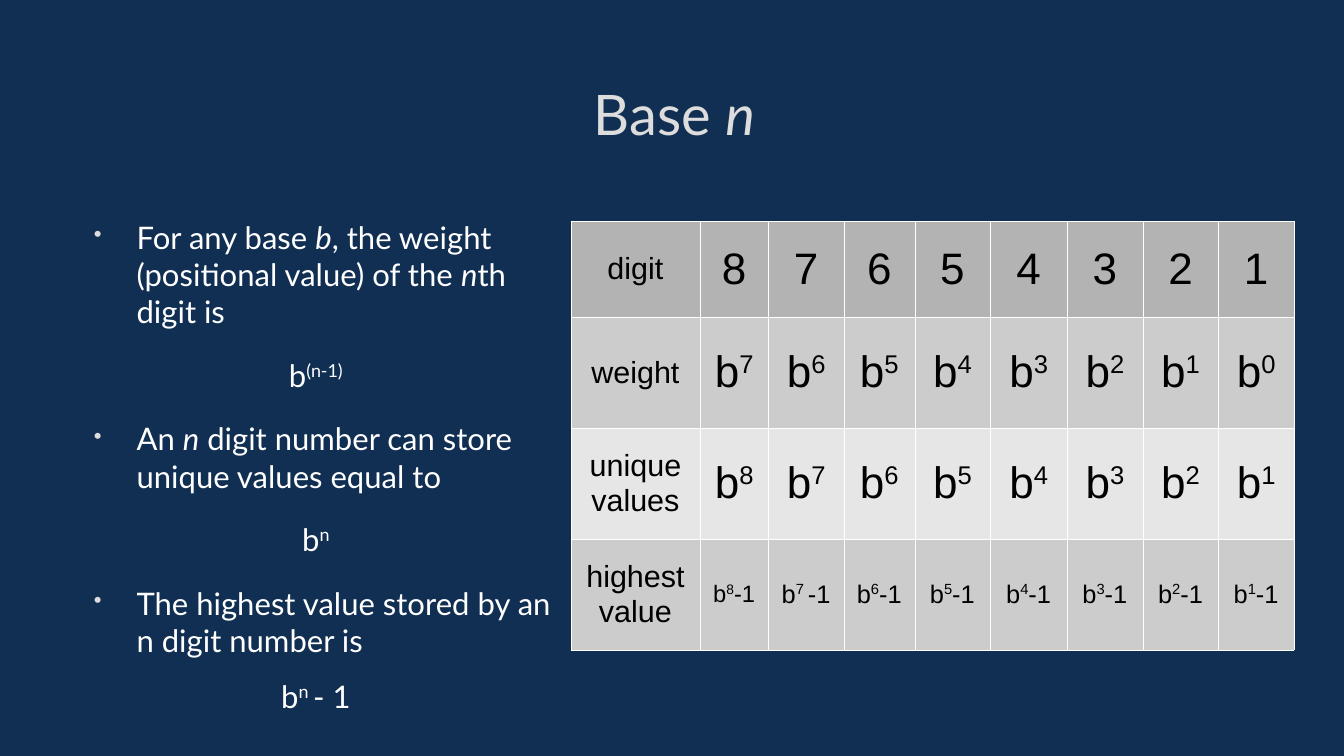
from dataclasses import dataclass
from typing import Iterable, NamedTuple

from lxml.etree import SubElement
from pptx import Presentation
from pptx.dml.color import RGBColor
from pptx.enum.text import MSO_ANCHOR, MSO_AUTO_SIZE, PP_ALIGN
from pptx.oxml import parse_xml
from pptx.oxml.ns import nsdecls, qn
from pptx.util import Emu, Inches, Pt


@dataclass(frozen=True)
class Theme:
    back: str = "112F52"
    pale: str = "DDDDDD"
    white: str = "FFFFFF"
    ink: str = "000000"
    head: str = "B3B3B3"
    band: str = "CCCCCC"
    light: str = "E6E6E6"
    sans: str = "Lato"
    grid: str = "Arial"
    title: float = 33
    body: float = 18.3
    label: float = 18
    digit: float = 26
    small: float = 15
    tight: float = 14
    gap: float = 15.6


class Span(NamedTuple):
    text: str
    slant: bool = False
    power: bool = False


class Font(NamedTuple):
    name: str
    size: float
    color: str


class Point(NamedTuple):
    lead: list[Span]
    rule: list[Span]
    lines: float = 1


class Row(NamedTuple):
    label: str
    fill: str
    size: float
    cells: list[list[Span]]


class Area(NamedTuple):
    left: float
    top: float
    width: float
    height: float


THEME = Theme()
WIDTH, HEIGHT = Inches(11.02), Inches(6.2)
TITLE = Area(5.9, 6.13, 88.57, 17.58)
BODY = Area(5.9, 28.87, 35.21, 57.74)
TABLE = Area(42.47, 29.19, 53.72, 56.77)
COLUMNS = [9.62, 5.08, 5.63, 5.26, 5.63, 5.72, 5.63, 5.63, 5.63]
ROWS = [12.74] + [14.68] * 3
DIGITS = range(8, 0, -1)


def across(share: float) -> Emu:
    return Emu(round(WIDTH * share / 100))


def down(share: float) -> Emu:
    return Emu(round(HEIGHT * share / 100))


def place(area: Area) -> tuple[Emu, Emu, Emu, Emu]:
    return across(area.left), down(area.top), across(area.width), down(area.height)


def clear(frame) -> None:
    frame.word_wrap = True
    frame.auto_size = MSO_AUTO_SIZE.NONE
    frame.margin_left = frame.margin_right = 0
    frame.margin_top = frame.margin_bottom = 0


def write(para, spans: Iterable[Span], font: Font) -> None:
    for span in spans:
        run = para.add_run()
        run.text = span.text
        run.font.name = font.name
        run.font.size = Pt(font.size)
        run.font.color.rgb = RGBColor.from_string(font.color)
        if span.slant:
            run.font.italic = True
        if span.power:
            run._r.get_or_add_rPr().set("baseline", "33000")


def bullet(para) -> None:
    props = para._p.get_or_add_pPr()
    props.set("marL", str(Inches(0.47)))
    props.set("indent", str(Inches(-0.35)))
    color = SubElement(props, qn("a:buClr"))
    SubElement(color, qn("a:srgbClr")).set("val", THEME.pale)
    SubElement(props, qn("a:buSzPct")).set("val", "75000")
    SubElement(props, qn("a:buChar")).set("char", "•")


def border(cell) -> None:
    props = cell._tc.get_or_add_tcPr()
    for index, side in enumerate(("lnL", "lnR", "lnT", "lnB")):
        line = parse_xml(
            f'<a:{side} {nsdecls("a")} w="{Pt(0.06)}"><a:solidFill>'
            f'<a:srgbClr val="{THEME.white}"/></a:solidFill></a:{side}>'
        )
        props.insert(index, line)


def head(slide) -> None:
    title = slide.shapes.title
    title.left, title.top, title.width, title.height = place(TITLE)
    frame = title.text_frame
    clear(frame)
    frame.vertical_anchor = MSO_ANCHOR.MIDDLE
    para = frame.paragraphs[0]
    para.alignment = PP_ALIGN.CENTER
    write(para, [Span("Base "), Span("n", slant=True)],
          Font(THEME.sans, THEME.title, THEME.pale))


def points(slide, items: list[Point]) -> None:
    frame = slide.shapes.add_textbox(*place(BODY)).text_frame
    clear(frame)
    font = Font(THEME.sans, THEME.body, THEME.white)
    for index, item in enumerate(items):
        lead = frame.add_paragraph() if index else frame.paragraphs[0]
        bullet(lead)
        if index:
            lead.space_before = Pt(THEME.gap)
        write(lead, item.lead, font)
        rule = frame.add_paragraph()
        rule.alignment = PP_ALIGN.CENTER
        rule.space_before = Pt(THEME.gap)
        rule.line_spacing = item.lines
        write(rule, item.rule, font)


def fill(cell, spans: list[Span], size: float, color: str) -> None:
    cell.fill.solid()
    cell.fill.fore_color.rgb = RGBColor.from_string(color)
    cell.vertical_anchor = MSO_ANCHOR.MIDDLE
    para = cell.text_frame.paragraphs[0]
    para.alignment = PP_ALIGN.CENTER
    write(para, spans, Font(THEME.grid, size, THEME.ink))
    border(cell)


def table(slide, rows: list[Row]) -> None:
    grid = slide.shapes.add_table(len(ROWS), len(COLUMNS), *place(TABLE)).table
    grid.first_row = grid.horz_banding = False
    for column, share in zip(grid.columns, COLUMNS):
        column.width = across(share)
    for line, share, row in zip(grid.rows, ROWS, rows):
        line.height = down(share)
        label, *rest = line.cells
        fill(label, [Span(row.label)], THEME.label, row.fill)
        for index, (cell, spans) in enumerate(zip(rest, row.cells)):
            slim = row.size == THEME.small and index == 0
            fill(cell, spans, THEME.tight if slim else row.size, row.fill)


def power(text: str) -> list[Span]:
    return [Span("b"), Span(text, power=True)]


def main() -> None:
    deck = Presentation()
    deck.slide_width, deck.slide_height = WIDTH, HEIGHT
    slide = deck.slides.add_slide(deck.slide_layouts[5])
    slide.background.fill.solid()
    slide.background.fill.fore_color.rgb = RGBColor.from_string(THEME.back)
    head(slide)
    n = Span("n", slant=True)
    points(slide, [
        Point([Span("For any base "), Span("b", slant=True),
               Span(", the weight (positional value) of the "), n,
               Span("th digit is")], power("(n-1)")),
        Point([Span("An "), n, Span(" digit number can store unique values equal to")],
              power("n")),
        Point([Span("The highest value stored by an n digit number is")],
              power("n ") + [Span("- 1")], 0.8),
    ])
    table(slide, [
        Row("digit", THEME.head, THEME.digit, [[Span(str(d))] for d in DIGITS]),
        Row("weight", THEME.band, THEME.digit, [power(str(d - 1)) for d in DIGITS]),
        Row("unique values", THEME.light, THEME.digit, [power(str(d)) for d in DIGITS]),
        Row("highest value", THEME.band, THEME.small,
            [power("7 " if d == 7 else str(d)) + [Span("-1")] for d in DIGITS]),
    ])
    deck.save("out.pptx")


if __name__ == "__main__":
    main()
